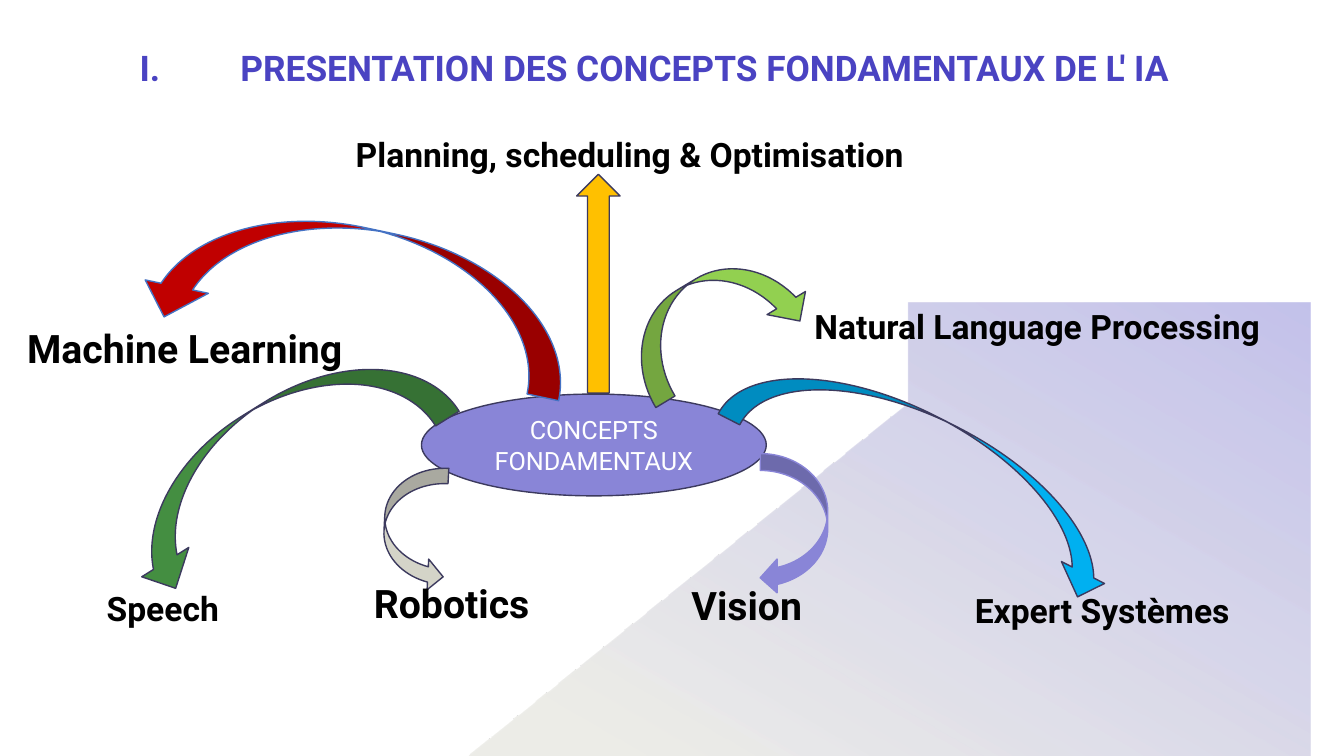
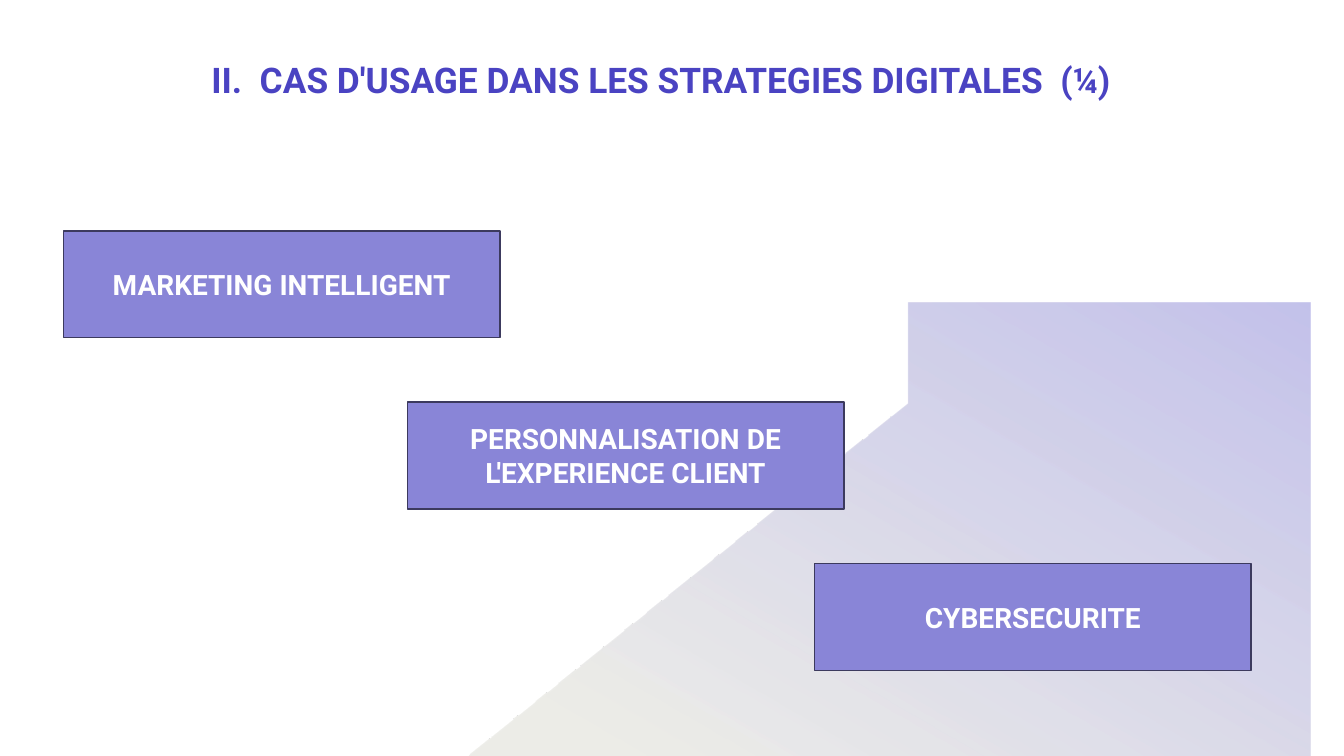
from pptx import Presentation
from pptx.dml.color import RGBColor
from pptx.enum.shapes import MSO_SHAPE as Kind
from pptx.enum.text import MSO_ANCHOR as Anchor, MSO_AUTO_SIZE as Auto, PP_ALIGN as Align
from pptx.oxml.ns import qn
from pptx.util import Inches, Pt
from lxml.etree import SubElement

WHITE = RGBColor(0xFF, 0xFF, 0xFF)
BLACK = RGBColor(0x00, 0x00, 0x00)
INDIGO = RGBColor(0x4A, 0x43, 0xC2)
LILAC = RGBColor(0x89, 0x85, 0xD7)
NAVY = RGBColor(0x3C, 0x3A, 0x5E)
BLUE = RGBColor(0x44, 0x72, 0xC4)
RED = RGBColor(0xC0, 0x00, 0x00)
LIME = RGBColor(0x92, 0xD0, 0x50)
GOLD = RGBColor(0xFF, 0xC0, 0x00)
GREEN = RGBColor(0x44, 0x8E, 0x41)
SKY = RGBColor(0x00, 0xB0, 0xF0)
STONE = RGBColor(0xD4, 0xD4, 0xC8)
SAND = RGBColor(0xE8, 0xE8, 0xE2)
MAUVE = RGBColor(0xB8, 0xB6, 0xE7)


def curve(start, pull, push, end, steps=24):
    """Points along a cubic curve, without its start."""
    points = []
    for step in range(1, steps + 1):
        t = step / steps
        u = 1 - t
        points.append(tuple(
            u**3 * a + 3 * u * u * t * b + 3 * u * t * t * c + t**3 * d
            for a, b, c, d in zip(start, pull, push, end)))
    return points


class Deck:
    """House style and the slide being filled."""

    font = "Roboto"

    def __init__(self):
        self.prs = Presentation()
        self.prs.slide_width = Inches(13.33)
        self.prs.slide_height = Inches(7.5)
        self.slide = None

    def page(self):
        self.slide = self.prs.slides.add_slide(self.prs.slide_layouts[5])
        self.hill()

    def style(self, para, size, color, bold):
        for run in para.runs:
            run.font.name = self.font
            run.font.size = Pt(size)
            run.font.bold = bold
            run.font.color.rgb = color

    # Faded hill at the lower right
    def hill(self):
        top, left = (10.99, 3.05), (9.02, 3.65)
        points = curve(top, (11.82, 3.06), (12.65, 3.39), (13.27, 4.01))
        points += [(13.33, 4.08), (13.33, 7.5), (4.12, 7.5), (8.95, 3.71), left]
        points += curve(left, (9.56, 3.27), (10.17, 3.08), (10.79, 3.05))
        form = self.slide.shapes.build_freeform(*top, scale=Inches(1))
        form.add_line_segments(points, close=True)
        shape = form.convert_to_shape()
        shape.shadow.inherit = False
        shape.line.fill.background()
        shape.fill.gradient()
        shape.fill.gradient_angle = 60
        looks = [(0.18, SAND, 79), (1, MAUVE, 84)]
        for stop, (place, color, alpha) in zip(shape.fill.gradient_stops, looks):
            stop.position = place
            stop.color.rgb = color
        for tint, look in zip(shape.element.spPr.iter(qn("a:srgbClr")), looks):
            SubElement(tint, qn("a:alpha"), val=str(look[2] * 1000))

    def title(self, text, box, align, number=None):
        shape = self.slide.shapes.title
        shape.left, shape.top, shape.width, shape.height = map(Inches, box)
        frame = shape.text_frame
        frame.text = text
        frame.word_wrap = True
        frame.auto_size = Auto.NONE
        frame.vertical_anchor = Anchor.BOTTOM
        para = frame.paragraphs[0]
        para.alignment = align
        self.style(para, 25.2, INDIGO, True)
        if number:
            props = para._p.get_or_add_pPr()
            props.set("marL", str(Inches(1)))
            props.set("indent", str(-Inches(1)))
            SubElement(props, qn("a:buAutoNum"), type=number)

    def label(self, text, box, size=24, loose=True):
        frame = self.slide.shapes.add_textbox(*map(Inches, box)).text_frame
        frame.text = text
        frame.word_wrap = True
        para = frame.paragraphs[0]
        if loose:
            para.line_spacing = 1.2
            para.space_before = Pt(10)
        self.style(para, size, BLACK, True)

    def shape(self, kind, box, fill=LILAC, line=NAVY, turn=0):
        shape = self.slide.shapes.add_shape(kind, *map(Inches, box))
        shape.shadow.inherit = False
        shape.fill.solid()
        shape.fill.fore_color.rgb = fill
        shape.line.color.rgb = line
        shape.line.width = Pt(1)
        shape.rotation = turn
        return shape

    def block(self, kind, text, box, size, bold):
        frame = self.shape(kind, box).text_frame
        frame.text = text
        frame.word_wrap = True
        frame.vertical_anchor = Anchor.MIDDLE
        para = frame.paragraphs[0]
        para.alignment = Align.CENTER
        self.style(para, size, WHITE, bold)


def main():
    deck = Deck()

    # Slide 1: core concepts
    deck.page()
    deck.title("PRESENTATION DES CONCEPTS FONDAMENTAUX DE L' IA",
               (0.58, 0.31, 11.82, 0.62), Align.CENTER, "romanUcPeriod")
    deck.label("Machine Learning", (0.17, 3.08, 3.65, 0.56), 28)
    deck.label("Natural Language Processing", (7.98, 2.91, 5.06, 0.61))
    deck.label("Speech", (0.96, 5.7, 1.45, 0.59))
    deck.label("Expert Systèmes", (9.57, 5.72, 2.98, 0.6))
    deck.label("Planning, scheduling & Optimisation", (3.43, 1.2, 6.11, 0.66))
    deck.block(Kind.OVAL, "CONCEPTS FONDAMENTAUX", (4.18, 3.91, 3.42, 1.01), 18, False)

    # Arrows from the hub to each concept
    arrows = [
        (Kind.CURVED_RIGHT_ARROW, (2.92, 0.74, 1.28, 4.32), RED, BLUE, 102),
        (Kind.CURVED_LEFT_ARROW, (6.64, 2.23, 0.89, 1.89), LIME, NAVY, 239),
        (Kind.UP_ARROW, (5.72, 1.73, 0.43, 2.17), GOLD, NAVY, 0),
        (Kind.CURVED_RIGHT_ARROW, (2.19, 2.77, 1.1, 3.59), GREEN, NAVY, 58),
        (Kind.CURVED_LEFT_ARROW, (8.75, 2.52, 0.96, 4.24), SKY, NAVY, 297),
        (Kind.CURVED_UP_ARROW, (3.5, 4.94, 1.23, 0.61), STONE, NAVY, 93),
        (Kind.CURVED_LEFT_ARROW, (7.54, 4.5, 0.67, 1.4), LILAC, LILAC, 0),
    ]
    for arrow in arrows:
        deck.shape(*arrow)
    deck.label("Robotics", (3.61, 5.7, 2.16, 0.57), 28, False)
    deck.label("Vision", (6.76, 5.72, 2.16, 0.57), 28, False)

    # Slide 2: use cases
    deck.page()
    deck.title("II.  CAS D'USAGE DANS LES STRATEGIES DIGITALES  (¼)",
               (0.93, 0.13, 10.19, 0.92), Align.RIGHT)
    cases = [
        ("MARKETING INTELLIGENT", 0.63, 2.29),
        ("PERSONNALISATION DE L'EXPERIENCE CLIENT", 4.04, 3.99),
        ("CYBERSECURITE", 8.08, 5.59),
    ]
    for text, left, top in cases:
        deck.block(Kind.RECTANGLE, text, (left, top, 4.33, 1.06), 20, True)

    deck.prs.save("out.pptx")


if __name__ == "__main__":
    main()
